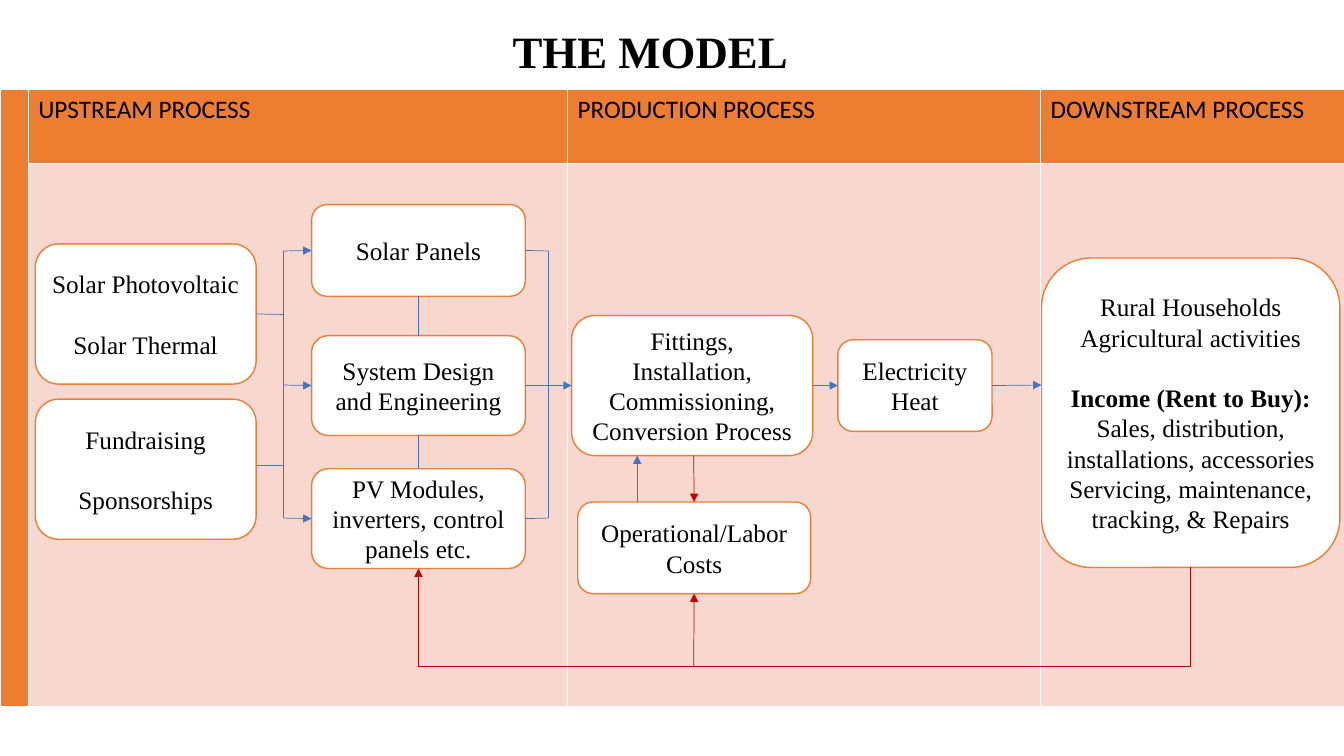
from pptx import Presentation
from pptx import util as u
from pptx.dml.color import RGBColor
from pptx.enum import shapes, text
from pptx.oxml.ns import qn
from lxml import etree

ORANGE, PINK, WHITE, BLACK = "ED7D31", "F8D7CE", "FFFFFF", "000000"
BLUE, RED = "4472C4", "C00000"
SERIF = "Times New Roman"
TOP, LEFT, BOTTOM, RIGHT = range(4)
LINE_GAP = 21.6  # points, one line of box text

TITLE = "THE MODEL"
STAGES = ["UPSTREAM PROCESS", "PRODUCTION PROCESS", "DOWNSTREAM PROCESS"]
COLUMN_WIDTHS = [0.28, 5.35, 4.69, 3.02]
ROW_HEIGHTS = [0.73, 5.39]

# name: (left, top, width, height), paragraphs
BOXES = {
    "sources": ((0.35, 2.42, 2.19, 1.39), ["Solar Photovoltaic", "Solar Thermal"]),
    "funding": ((0.35, 3.96, 2.19, 1.39), ["Fundraising", "Sponsorships"]),
    "panels": ((3.09, 2.03, 2.12, 0.91), ["Solar Panels"]),
    "design": ((3.09, 3.33, 2.12, 0.99), ["System Design and Engineering"]),
    "modules": ((3.09, 4.65, 2.12, 0.99),
                ["PV Modules, inverters, control panels etc."]),
    "fittings": ((5.67, 3.13, 2.39, 1.39),
                 ["Fittings, Installation, Commissioning,", "Conversion Process"]),
    "costs": ((5.73, 4.98, 2.31, 0.91), ["Operational/Labor Costs"]),
    "energy": ((8.31, 3.37, 1.53, 0.91), ["Electricity", "Heat"]),
    "market": ((10.33, 2.56, 2.96, 3.07),
               ["Rural Households", "Agricultural activities",
                "Income (Rent to Buy):",
                "Sales, distribution, installations, accessories",
                "Servicing, maintenance, tracking, & Repairs"]),
}
SPACED = {"Solar Thermal", "Sponsorships", "Income (Rent to Buy):"}
BOLD = {"Income (Rent to Buy):"}
LEFT_ALIGNED = {"Solar Photovoltaic"}

SPLIT_X, MERGE_X = 2.81, 5.44      # vertical lines beside the upstream boxes
UPPER_Y, MIDDLE_Y, LOWER_Y = 2.49, 3.82, 5.14
RETURN_Y = 6.61                    # feedback line below the boxes

# start, end, colour, arrow; an end is a point or (box name, side)
LINKS = [
    ((SPLIT_X, UPPER_Y), (SPLIT_X, LOWER_Y), BLUE, False),
    ((SPLIT_X, UPPER_Y), ("panels", LEFT), BLUE, True),
    ((SPLIT_X, MIDDLE_Y), ("design", LEFT), BLUE, True),
    ((SPLIT_X, LOWER_Y), ("modules", LEFT), BLUE, True),
    (("sources", RIGHT), (SPLIT_X, 3.12), BLUE, False),
    ((2.55, 4.62), (SPLIT_X, 4.62), BLUE, False),
    (("panels", RIGHT), (MERGE_X, UPPER_Y), BLUE, False),
    (("modules", RIGHT), (MERGE_X, LOWER_Y), BLUE, False),
    ((MERGE_X, UPPER_Y), (MERGE_X, LOWER_Y), BLUE, False),
    (("panels", BOTTOM), ("design", TOP), BLUE, False),
    (("design", BOTTOM), ("modules", TOP), BLUE, False),
    (("design", RIGHT), ("fittings", LEFT), BLUE, True),
    (("fittings", RIGHT), ("energy", LEFT), BLUE, True),
    (("energy", RIGHT), (10.33, 3.82), BLUE, True),
    ((6.32, 4.98), (6.32, 4.52), BLUE, True),
    ((6.88, 4.52), ("costs", TOP), RED, True),
    (("market", BOTTOM), (11.81, RETURN_Y), RED, False),
    ((4.15, RETURN_Y), (11.81, RETURN_Y), RED, False),
    ((4.15, RETURN_Y), ("modules", BOTTOM), RED, True),
    ((6.88, RETURN_Y), ("costs", BOTTOM), RED, True),
]


def colour(value):
    return RGBColor.from_string(value)


def style(paragraph, size, name, bold=False):
    font = paragraph.font
    font.size, font.name, font.bold = u.Pt(size), name, bold
    font.color.rgb = colour(BLACK)


def add_title(slide):
    title = slide.shapes.title
    title.left, title.top = u.Inches(1.45), u.Inches(0.22)
    title.width, title.height = u.Inches(10), u.Inches(0.61)
    frame = title.text_frame
    frame.text = TITLE
    frame.auto_size = text.MSO_AUTO_SIZE.NONE
    frame.vertical_anchor = text.MSO_ANCHOR.BOTTOM
    paragraph = frame.paragraphs[0]
    paragraph.alignment = text.PP_ALIGN.CENTER
    paragraph.line_spacing = 0.9
    style(paragraph, 32, SERIF, True)


def add_stages(slide):
    table = slide.shapes.add_table(
        len(ROW_HEIGHTS), len(COLUMN_WIDTHS), 0, u.Inches(0.89),
        u.Inches(sum(COLUMN_WIDTHS)), u.Inches(sum(ROW_HEIGHTS))).table
    table.horz_banding = False
    for column, width in zip(table.columns, COLUMN_WIDTHS):
        column.width = u.Inches(width)
    for row, height, fill in zip(table.rows, ROW_HEIGHTS, (ORANGE, PINK)):
        row.height = u.Inches(height)
        for cell in row.cells:
            cell.fill.solid()
            cell.fill.fore_color.rgb = colour(fill)
    table.cell(0, 0).merge(table.cell(1, 0))
    for index, stage in enumerate(STAGES, 1):
        cell = table.cell(0, index)
        cell.text = stage
        style(cell.text_frame.paragraphs[0], 18, "Calibri")


def add_box(slide, place, lines):
    shape = slide.shapes.add_shape(
        shapes.MSO_SHAPE.ROUNDED_RECTANGLE, *map(u.Inches, place))
    shape.shadow.inherit = False
    shape.fill.solid()
    shape.fill.fore_color.rgb = colour(WHITE)
    shape.line.color.rgb = colour(ORANGE)
    shape.line.width = u.Pt(1)
    frame = shape.text_frame
    frame.word_wrap = True
    frame.vertical_anchor = text.MSO_ANCHOR.MIDDLE
    frame.text = "\n".join(lines)
    for paragraph, line in zip(frame.paragraphs, lines):
        paragraph.alignment = (text.PP_ALIGN.LEFT if line in LEFT_ALIGNED
                               else text.PP_ALIGN.CENTER)
        if line in SPACED:
            paragraph.space_before = u.Pt(LINE_GAP)
        style(paragraph, 18, SERIF, line in BOLD)
    return shape


def add_link(slide, boxes, start, end, line_colour, arrow):
    connector = slide.shapes.add_connector(
        shapes.MSO_CONNECTOR.STRAIGHT, 0, 0, 0, 0)
    if start[0] in boxes:
        connector.begin_connect(boxes[start[0]], start[1])
    else:
        connector.begin_x, connector.begin_y = map(u.Inches, start)
    if end[0] in boxes:
        connector.end_connect(boxes[end[0]], end[1])
    else:
        connector.end_x, connector.end_y = map(u.Inches, end)
    connector.line.color.rgb = colour(line_colour)
    connector.line.width = u.Pt(0.5)
    if arrow:
        etree.SubElement(connector.line._get_or_add_ln(), qn("a:tailEnd"),
                         type="triangle")
    etree.SubElement(connector._element.spPr, qn("a:effectLst"))


def main():
    presentation = Presentation()
    presentation.slide_width = u.Inches(13.33)
    presentation.slide_height = u.Inches(7.5)
    slide = presentation.slides.add_slide(presentation.slide_layouts[5])
    add_title(slide)
    add_stages(slide)
    boxes = {name: add_box(slide, *box) for name, box in BOXES.items()}
    for link in LINKS:
        add_link(slide, boxes, *link)
    presentation.save("out.pptx")


if __name__ == "__main__":
    main()
